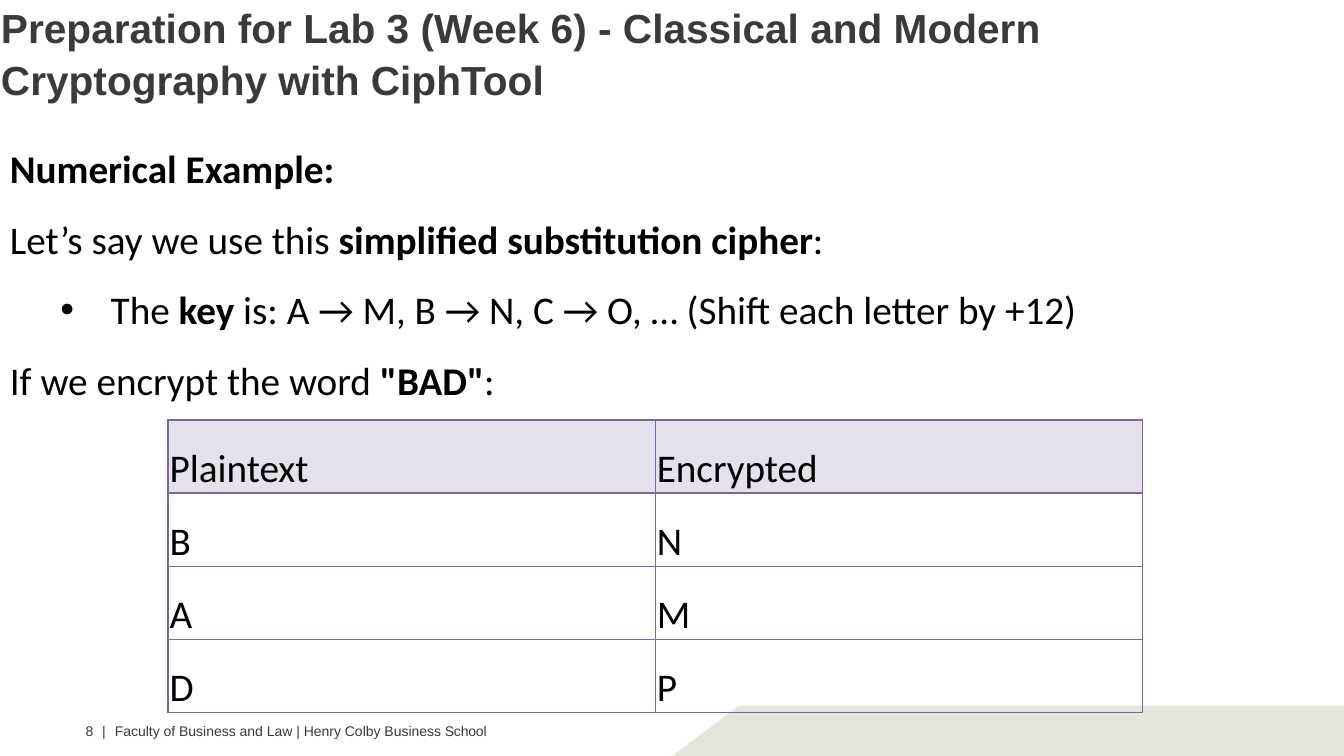
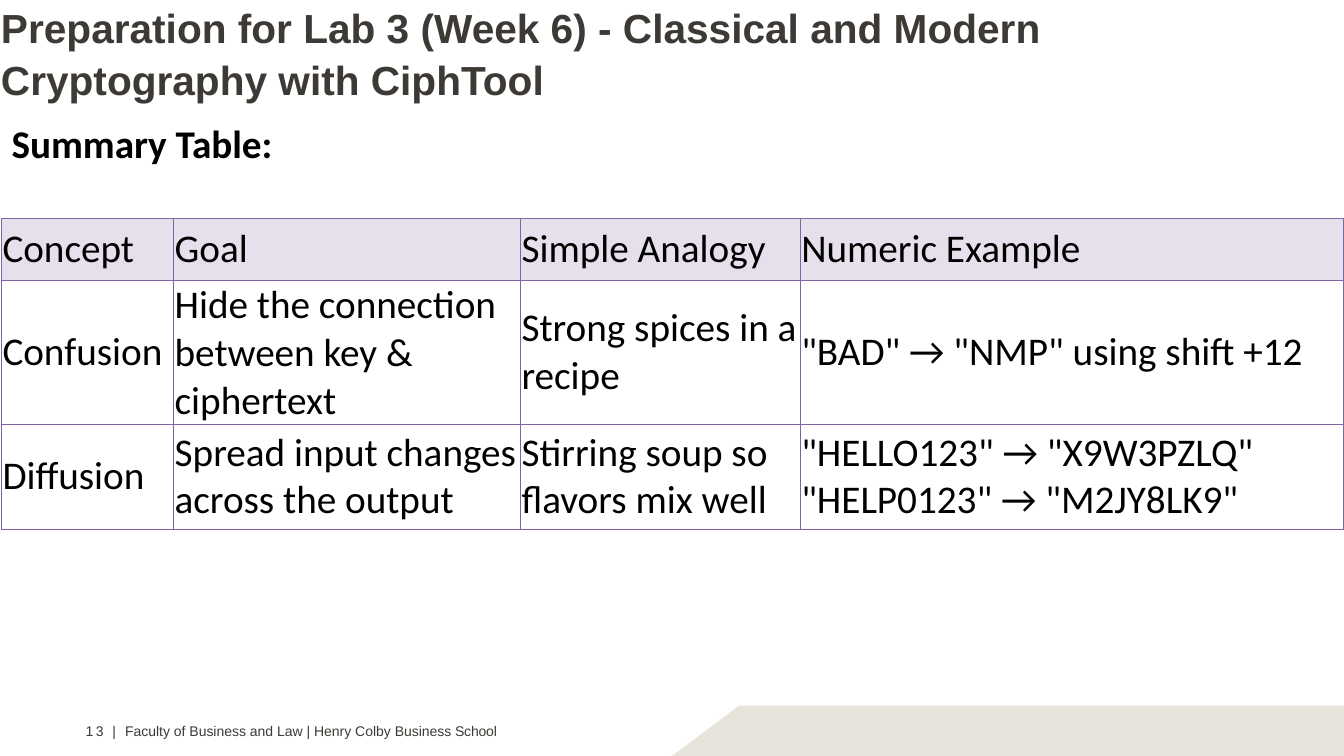
from lxml.etree import SubElement
from pptx import Presentation
from pptx.dml.color import RGBColor
from pptx.enum.text import MSO_ANCHOR as Anchor, MSO_AUTO_SIZE as AutoSize, PP_ALIGN as Align
from pptx.oxml.ns import qn
from pptx.util import Inches, Pt

COLORS = {
    "white": "FFFFFF",
    "black": "000000",
    "heading": "3D3935",
    "band": "E8E3DB",
    "header": "E6E0EC",
    "border": "8064A2",
}
TITLE = "Preparation for Lab 3 (Week 6) - Classical and Modern Cryptography with CiphTool"
FOOTER = "Faculty of Business and Law | Henry Colby Business "
COLUMNS, ROWS = 16, 9
TITLE_ONLY = 5


def color(name):
    return RGBColor.from_string(COLORS[name])


def write(para, text, font="Calibri", size=28, ink="black", bold=False, spacing=None):
    """Add text to a paragraph; ** switches bold and a newline breaks the line."""
    for part, piece in enumerate(text.split("**")):
        for line, words in enumerate(piece.split("\n")):
            if line:
                para.add_line_break()
            if not words:
                continue
            span = para.add_run()
            span.text = words
            span.font.name, span.font.size = font, Pt(size)
            span.font.color.rgb = color(ink)
            span.font.bold = bold != (part % 2 == 1)
            if spacing is not None:
                span._r.get_or_add_rPr().set("spc", str(round(spacing * 100)))


class Slides:
    """Holds the style and the current page; lengths are grid units."""

    def __init__(self):
        self.deck = Presentation()
        self.deck.slide_width, self.deck.slide_height = Inches(13.33), Inches(7.5)
        self.page = None

    def across(self, columns):
        return round(self.deck.slide_width * columns / COLUMNS)

    def down(self, rows):
        return round(self.deck.slide_height * rows / ROWS)

    def area(self, left, top, width, height):
        return self.across(left), self.down(top), self.across(width), self.down(height)

    def margins(self, item, side, top):
        item.margin_left = item.margin_right = self.across(side)
        item.margin_top = item.margin_bottom = self.down(top)

    def new_page(self, number):
        self.page = self.deck.slides.add_slide(self.deck.slide_layouts[TITLE_ONLY])
        self.title()
        self.band()
        self.footer(number)

    def title(self):
        box = self.page.shapes.title
        box.left, box.top, box.width, box.height = self.area(0, 0, 13.6, 1.19)
        box.fill.solid()
        box.fill.fore_color.rgb = color("white")
        frame = box.text_frame
        frame.word_wrap, frame.auto_size = True, AutoSize.NONE
        frame.vertical_anchor = Anchor.TOP
        self.margins(frame, 0, 0.01)
        para = frame.paragraphs[0]
        para.alignment, para.line_spacing, para.space_before = Align.LEFT, 1.05, Pt(1)
        para._p.get_or_add_pPr().set("marL", str(Inches(0.01)))
        write(para, TITLE, font="Arial", size=29, ink="heading", bold=True)

    def band(self):
        start, *corners = [(self.across(x), self.down(y))
                           for x, y in ((16, 8.4), (8.8, 8.4), (8, 9), (16, 9))]
        outline = self.page.shapes.build_freeform(*start)
        outline.add_line_segments(corners, close=True)
        band = outline.convert_to_shape()
        band.shadow.inherit = False
        band.fill.solid()
        band.fill.fore_color.rgb = color("band")
        band.line.fill.background()

    def text_box(self, *place, wrap=True, anchor=Anchor.TOP):
        frame = self.page.shapes.add_textbox(*self.area(*place)).text_frame
        frame.word_wrap, frame.vertical_anchor = wrap, anchor
        return frame

    def footer(self, number):
        frame = self.text_box(0.97, 8.6, 6.53, 0.2)
        self.margins(frame, 0, 0)
        para = frame.paragraphs[0]
        para._p.get_or_add_pPr().set("marL", str(Inches(0.04)))
        pieces = ((str(number), 1.8), (" | ", 1.8), (FOOTER, None), ("School", -0.1))
        for text, spacing in pieces:
            write(para, text, font="Arial", size=10, ink="heading", spacing=spacing)

    def paragraphs(self, frame, lines, line_spacing=1.0):
        """Fill a frame; a line that starts with a bullet is indented."""
        for index, text in enumerate(lines):
            para = frame.add_paragraph() if index else frame.paragraphs[0]
            para.line_spacing = line_spacing
            if text.startswith("•"):
                text = text[1:]
                props = para._p.get_or_add_pPr()
                props.set("marL", str(Inches(1)))
                props.set("indent", str(Inches(-0.5)))
                SubElement(props, qn("a:buFont"), typeface="Arial")
                SubElement(props, qn("a:buChar"), char="•")
            write(para, text)

    def table(self, left, top, widths, heights, rows, margin=0.01, line_spacing=1.0):
        place = self.area(left, top, sum(widths), sum(heights))
        table = self.page.shapes.add_table(len(rows), len(widths), *place).table
        table.horz_banding = False
        for column, width in zip(table.columns, widths):
            column.width = self.across(width)
        for row, height in zip(table.rows, heights):
            row.height = self.down(height)
        for index, texts in enumerate(rows):
            for cell, text in zip(table.rows[index].cells, texts):
                self.margins(cell, margin, 0.01)
                cell.vertical_anchor = Anchor.MIDDLE
                self.borders(cell)
                if index == 0:
                    cell.fill.solid()
                    cell.fill.fore_color.rgb = color("header")
                else:
                    cell.fill.background()
                self.paragraphs(cell.text_frame, [text], line_spacing)

    def borders(self, cell):
        props = cell._tc.get_or_add_tcPr()
        for side in ("lnL", "lnR", "lnT", "lnB"):
            line = SubElement(props, qn(f"a:{side}"), w=str(Pt(1)))
            fill = SubElement(line, qn("a:solidFill"))
            SubElement(fill, qn("a:srgbClr"), val=COLORS["border"])


def main():
    slides = Slides()

    # Numerical example
    slides.new_page(8)
    slides.paragraphs(slides.text_box(0, 1.38, 16, 3.43), [
        "**Numerical Example:**",
        "Let’s say we use this **simplified substitution cipher**:",
        "•The **key** is: A → M, B → N, C → O, … (Shift each letter by +12)",
        "If we encrypt the word **\"BAD\"**:",
    ], line_spacing=1.5)
    slides.table(2, 5, [5.8] * 2, [0.87] * 4,
                 [("Plaintext", "Encrypted"), *zip("BAD", "NMP")],
                 margin=0.02, line_spacing=1.5)

    # Summary
    slides.new_page(13)
    slides.table(0.02, 2.6, [2.05, 4.13, 3.33, 6.47], [0.74, 1.71, 1.25], [
        ("Concept", "Goal", "Simple Analogy", "Numeric Example"),
        ("Confusion", "Hide the connection between key & ciphertext",
         "Strong spices in a recipe", '"BAD" → "NMP" using shift +12'),
        ("Diffusion", "Spread input changes across the output",
         "Stirring soup so flavors mix well",
         '"HELLO123" → "X9W3PZLQ"\n"HELP0123" → "M2JY8LK9"'),
    ])
    heading = slides.text_box(0.02, 1.36, 3.38, 0.68, wrap=False, anchor=Anchor.MIDDLE)
    slides.paragraphs(heading, ["**Summary Table:**"])

    slides.deck.save("out.pptx")


if __name__ == "__main__":
    main()
